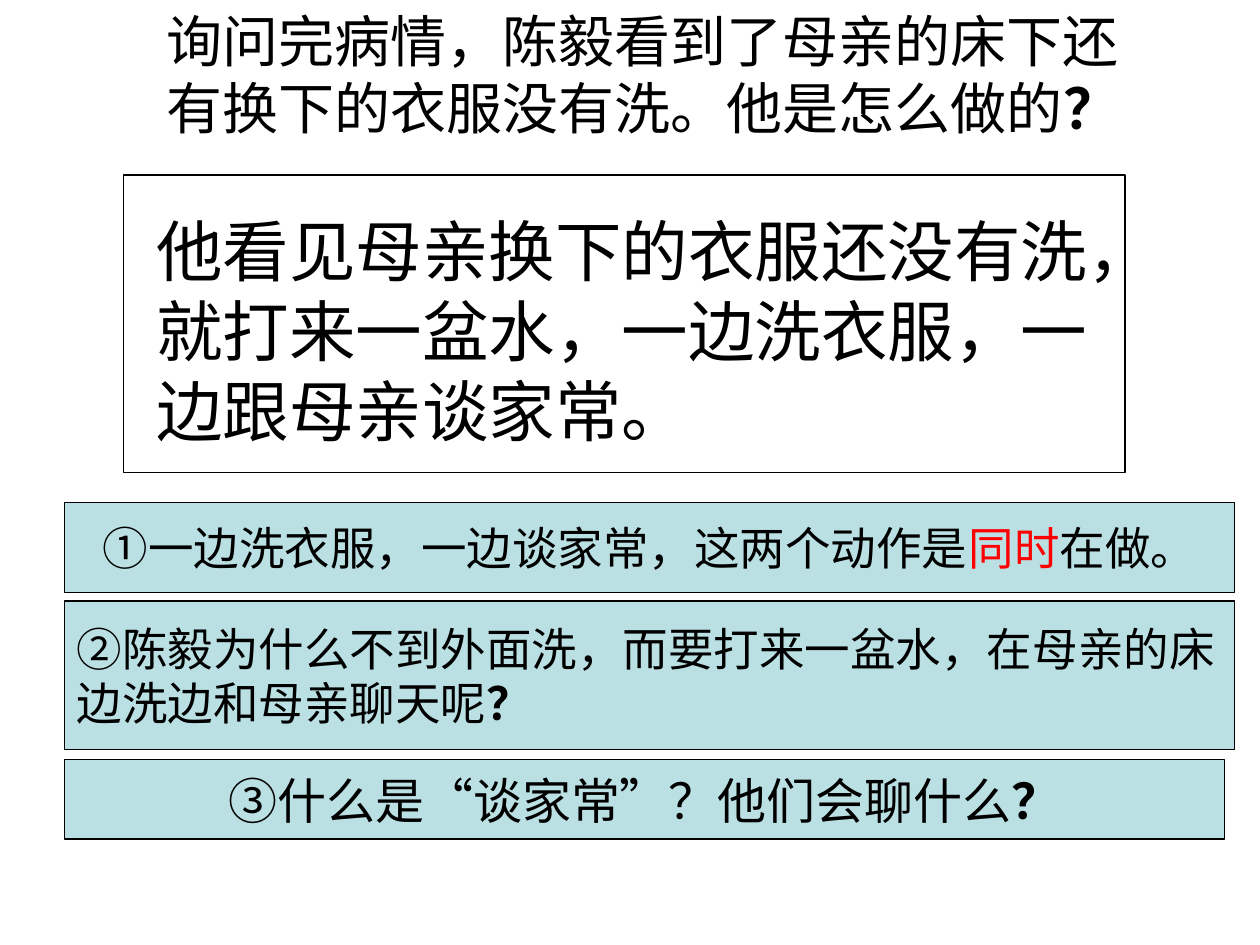
from dataclasses import dataclass

from pptx import Presentation
from pptx.dml.color import RGBColor as Color
from pptx.enum.shapes import MSO_SHAPE as Shape
from pptx.enum.text import MSO_ANCHOR as Anchor, MSO_AUTO_SIZE as AutoSize, PP_ALIGN as Align
from pptx.util import Inches, Pt


@dataclass(frozen=True)
class Theme:
    """Colours, font and type sizes of the slide."""
    ink: Color = Color(0, 0, 0)
    accent: Color = Color(255, 0, 0)
    panel: Color = Color(0xBB, 0xE0, 0xE3)
    font: str = "Arial"
    title: int = 32
    answer: int = 38
    note: int = 26
    closing: int = 28
    line: float = 0.75


THEME = Theme()
TITLE_ONLY = 5
PANEL_LEFT = 0.51


def place(box, left, top, width, height):
    """Set position and size in inches."""
    box.left, box.top = Inches(left), Inches(top)
    box.width, box.height = Inches(width), Inches(height)


def write(box, lines, size, align=Align.LEFT, anchor=Anchor.TOP, wrap=True):
    """Fill a box with lines of (text, style) spans."""
    frame = box.text_frame
    frame.text = "\n".join("".join(text for text, _ in line) for line in lines)
    frame.auto_size = AutoSize.NONE
    frame.word_wrap, frame.vertical_anchor = wrap, anchor
    for para, line in zip(frame.paragraphs, lines):
        para.text = ""
        para.alignment = align
        for text, style in line:
            span = para.add_run()
            span.text = text
            span.font.name, span.font.size = THEME.font, Pt(size)
            span.font.bold = style == "bold"
            span.font.color.rgb = THEME.accent if style == "accent" else THEME.ink


def add_frame(shapes, left, top, width, height, fill=None):
    """Add a thinly outlined rectangle, filled when a colour is given."""
    box = shapes.add_shape(Shape.RECTANGLE, *map(Inches, (left, top, width, height)))
    box.shadow.inherit = False
    box.line.color.rgb, box.line.width = THEME.ink, Pt(THEME.line)
    if fill is None:
        box.fill.background()
    else:
        box.fill.solid()
        box.fill.fore_color.rgb = fill
    return box


def add_title(page, line):
    """Put the question in the title placeholder."""
    title = page.shapes.title
    place(title, 1.22, 0, 7.8, 1.17)
    write(title, [line], THEME.title)


def add_answer(page, text):
    """Add the framed answer as a group."""
    group = page.shapes.add_group_shape()
    box = group.shapes.add_textbox(*map(Inches, (1.14, 1.62, 7.64, 2)))
    write(box, [[(text, "")]], THEME.answer)
    add_frame(group.shapes, 0.98, 1.39, 7.95, 2.36)


def add_panel(page, top, width, height, lines, size, align=Align.CENTER):
    """Add a tinted discussion panel."""
    box = add_frame(page.shapes, PANEL_LEFT, top, width, height, THEME.panel)
    write(box, lines, size, align, Anchor.MIDDLE, wrap=False)


def main():
    """Build and save the slide."""
    deck = Presentation()
    deck.slide_width, deck.slide_height = Inches(10), Inches(7.5)
    page = deck.slides.add_slide(deck.slide_layouts[TITLE_ONLY])
    mark = ("？", "bold")

    add_title(page, [("询问完病情，陈毅看到了母亲的床下还有换下的衣服没有洗。他是怎么做的", ""), mark])
    add_answer(page, "他看见母亲换下的衣服还没有洗，就打来一盆水，一边洗衣服，一边跟母亲谈家常。")
    add_panel(page, 3.99, 9.29, 0.71, [
        [("①一边洗衣服，一边谈家常，这两个动作是", ""), ("同时", "accent"), ("在做。", "")],
    ], THEME.note)
    add_panel(page, 4.77, 9.29, 1.18, [
        [("②陈毅为什么不到外面洗，而要打来一盆水，在母亲的床", "")],
        [("边洗边和母亲聊天呢", ""), mark],
    ], THEME.note, Align.LEFT)
    add_panel(page, 6.03, 9.21, 0.63, [
        [("③什么是“谈家常”？他们会聊什么", ""), mark],
    ], THEME.closing)
    deck.save("out.pptx")


if __name__ == "__main__":
    main()
